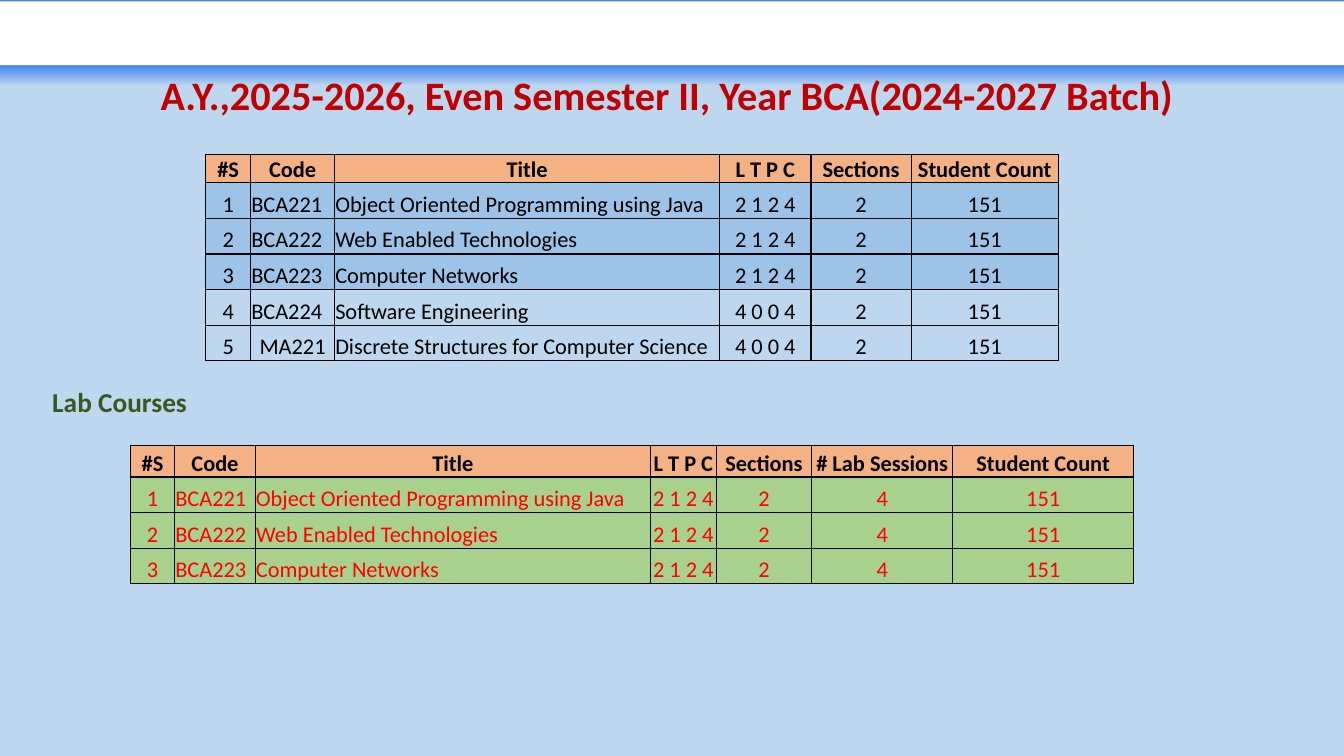
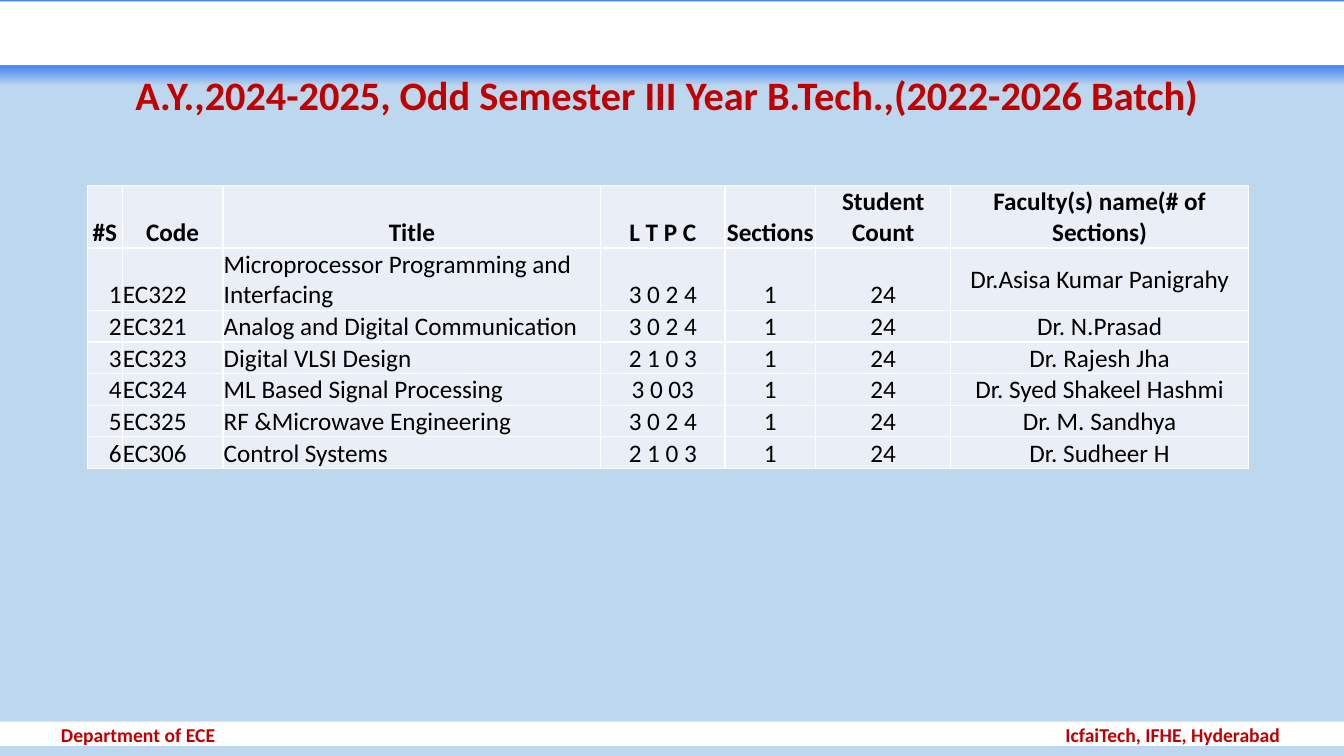
"""Build two slides of semester course tables."""
from dataclasses import dataclass, field

from lxml.etree import SubElement as Sub
from pptx import Presentation as Deck
from pptx.dml.color import RGBColor as Rgb
from pptx.enum.shapes import MSO_SHAPE as Kind
from pptx.enum.text import MSO_ANCHOR as Anc, PP_ALIGN as Al
from pptx.oxml.ns import qn
from pptx.util import Emu, Pt

WIDE, HIGH = 2000, 1125
SCALE = 6096
FONT = "Calibri"
HUES = {
    "back": "BDD7EE", "white": "FFFFFF", "black": "000000", "title": "C00000",
    "glow": "4285F0", "head": "F4B183", "blue": "9DC3E6", "green": "A9D18E",
    "pale": "EAEFF7", "red": "FF0000", "lab": "385723",
}
SIDES = {"l": Al.LEFT, "c": Al.CENTER, "r": Al.RIGHT}


@dataclass
class Box:
    x: int
    y: int
    w: int
    h: int


@dataclass
class Label:
    box: Box
    text: str
    size: float
    ink: str
    side: str = "l"
    lead: float = 0.9


@dataclass
class Grid:
    x: int
    y: int
    cols: list[int]
    highs: list[int]
    sides: str
    rows: list[tuple[str, ...]]
    fills: list[str | None]
    edge: str = "black"
    ink: str = "black"
    size: int = 16
    odd: dict[tuple[int, int], str] = field(default_factory=dict)
    mids: tuple[int, ...] = ()


def px(num: int) -> Emu:
    return Emu(num * SCALE)


def hue(name: str) -> Rgb:
    return Rgb.from_string(HUES[name])


def place(box: Box) -> tuple[Emu, ...]:
    return px(box.x), px(box.y), px(box.w), px(box.h)


def style(para, size: float, ink: str, bold: bool, side: str) -> None:
    para.alignment = SIDES[side]
    for run in para.runs:
        font = run.font
        font.name, font.size, font.bold = FONT, Pt(size), bold
        font.color.rgb = hue(ink)


def add_label(slide, label: Label) -> None:
    frame = slide.shapes.add_textbox(*place(label.box)).text_frame
    frame.word_wrap = True
    frame.vertical_anchor = Anc.MIDDLE
    frame.margin_top = frame.margin_bottom = 0
    frame.text = label.text
    para = frame.paragraphs[0]
    para.line_spacing = label.lead
    style(para, label.size, label.ink, True, label.side)


def add_band(slide, box: Box, ink: str):
    band = slide.shapes.add_shape(Kind.RECTANGLE, *place(box))
    band.shadow.inherit = False
    band.line.fill.background()
    band.fill.solid()
    band.fill.fore_color.rgb = hue(ink)
    return band


def add_glow(slide, box: Box, start: int) -> None:
    band = add_band(slide, box, "glow")
    band.fill.gradient()
    band.fill.gradient_angle = 270
    for stop, name in zip(band.fill.gradient_stops, ("glow", "back")):
        stop.color.rgb = hue(name)
    first = next(band._element.iter(qn("a:gs")))
    first.set("pos", str(round(start / box.h * 100000)))


def add_edge(cell, ink: str) -> None:
    props = cell._tc.get_or_add_tcPr()
    for tag in ("a:lnL", "a:lnR", "a:lnT", "a:lnB"):
        line = Sub(props, qn(tag), w=str(Pt(1)))
        Sub(Sub(line, qn("a:solidFill")), qn("a:srgbClr"), val=HUES[ink])


def add_grid(slide, grid: Grid) -> None:
    box = Box(grid.x, grid.y, sum(grid.cols), sum(grid.highs))
    table = slide.shapes.add_table(len(grid.rows), len(grid.cols), *place(box)).table
    table.first_row = table.horz_banding = False
    for col, wide in zip(table.columns, grid.cols):
        col.width = px(wide)
    for row, high in zip(table.rows, grid.highs):
        row.height = px(high)
    for r, row in enumerate(grid.rows):
        head = r == 0
        for c, text in enumerate(row):
            cell = table.cell(r, c)
            cell.margin_left = cell.margin_right = px(1)
            cell.margin_top = px(2)
            cell.margin_bottom = 0
            mid = c in grid.mids and not head
            cell.vertical_anchor = Anc.MIDDLE if mid else Anc.BOTTOM
            add_edge(cell, grid.edge)
            fill = grid.fills[r]
            if fill:
                cell.fill.solid()
                cell.fill.fore_color.rgb = hue(fill)
            else:
                cell.fill.background()
            cell.text_frame.text = text
            side = "c" if head else grid.odd.get((r, c), grid.sides[c])
            ink = "black" if head else grid.ink
            style(cell.text_frame.paragraphs[0], grid.size, ink, head, side)


def add_page(deck, title: str):
    slide = deck.slides.add_slide(deck.slide_layouts[6])
    slide.background.fill.solid()
    slide.background.fill.fore_color.rgb = hue("back")
    add_glow(slide, Box(0, 0, WIDE, 128), 97)
    add_band(slide, Box(0, 2, WIDE, 95), "white")
    add_label(slide, Label(Box(8, 104, 1970, 81), title, 28.8, "title", "c"))
    return slide


def add_foot(slide, left: str, right: str) -> None:
    add_band(slide, Box(0, 1074, WIDE, 36), "white")
    for x, text, side in ((76, left, "l"), (1320, right, "r")):
        add_label(slide, Label(Box(x, 1075, 600, 36), text, 14, "title", side, 1))


LABS = [
    ("BCA221", "Object Oriented Programming using Java"),
    ("BCA222", "Web Enabled Technologies"),
    ("BCA223", "Computer Networks"),
]
PLAIN = [
    ("BCA224", "Software Engineering"),
    ("MA221", "Discrete Structures for Computer Science"),
]
TECH = [
    ("EC322", "Microprocessor Programming and Interfacing", "3 0 2 4", "Dr.Asisa Kumar Panigrahy"),
    ("EC321", "Analog and Digital Communication", "3 0 2 4", "Dr. N.Prasad"),
    ("EC323", "Digital VLSI Design", "2 1 0 3", "Dr. Rajesh Jha"),
    ("EC324", "ML Based Signal Processing", "3 0 03", "Dr. Syed Shakeel Hashmi"),
    ("EC325", "RF &Microwave Engineering", "3 0 2 4", "Dr. M. Sandhya"),
    ("EC306", "Control Systems", "2 1 0 3", "Dr. Sudheer H"),
]
HEADS = ("#S", "Code", "Title", "L T P C", "Sections")
COUNT = "Student Count"
LOAD = "2 1 2 4"

COURSE = Grid(
    306, 230, [67, 125, 573, 136, 149, 219], [42] + [53] * 5, "cllccc",
    [(*HEADS, COUNT)]
    + [(str(n), *item, LOAD if item in LABS else "4 0 0 4", "2", "151")
       for n, item in enumerate(LABS + PLAIN, 1)],
    ["head"] + ["blue"] * 3 + [None] * 2, odd={(5, 1): "c"},
)
LAB = Grid(
    194, 663, [66, 120, 588, 98, 142, 210, 269], [47] + [53] * 3, "cllcccc",
    [(*HEADS, "# Lab Sessions", COUNT)]
    + [(str(n), *item, LOAD, "2", "4", "151") for n, item in enumerate(LABS, 1)],
    ["head"] + ["green"] * 3, ink="red",
)
STAFF = Grid(
    130, 276, [52, 150, 562, 185, 135, 201, 443], [93] * 2 + [47] * 5, "rllcccc",
    [(*HEADS, COUNT, "Faculty(s) name(# of Sections)")]
    + [(str(n), code, name, load, "1", "24", who)
       for n, (code, name, load, who) in enumerate(TECH, 1)],
    ["pale"] * 7, edge="white", size=18, mids=(6,),
)


def main() -> None:
    deck = Deck()
    deck.slide_width, deck.slide_height = px(WIDE), px(HIGH)

    slide = add_page(deck, "A.Y.,2025-2026, Even Semester II, Year BCA(2024-2027 Batch)")
    add_grid(slide, COURSE)
    add_grid(slide, LAB)
    add_label(slide, Label(Box(63, 569, 261, 62), "Lab Courses", 19.5, "lab"))

    slide = add_page(deck, "A.Y.,2024-2025, Odd Semester III Year B.Tech.,(2022-2026 Batch)")
    add_foot(slide, "Department of ECE", "IcfaiTech, IFHE, Hyderabad")
    add_grid(slide, STAFF)

    deck.save("out.pptx")


if __name__ == "__main__":
    main()
